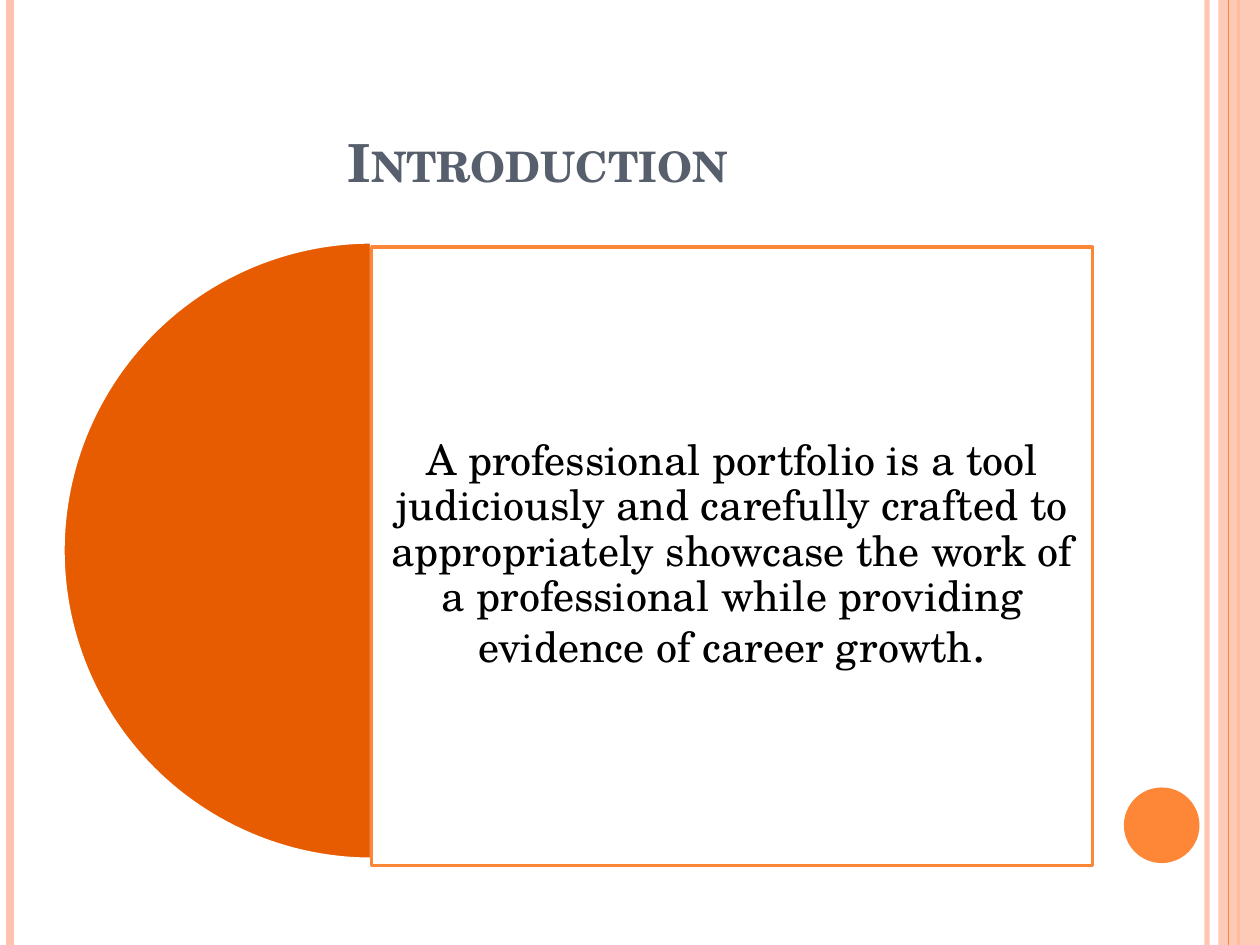
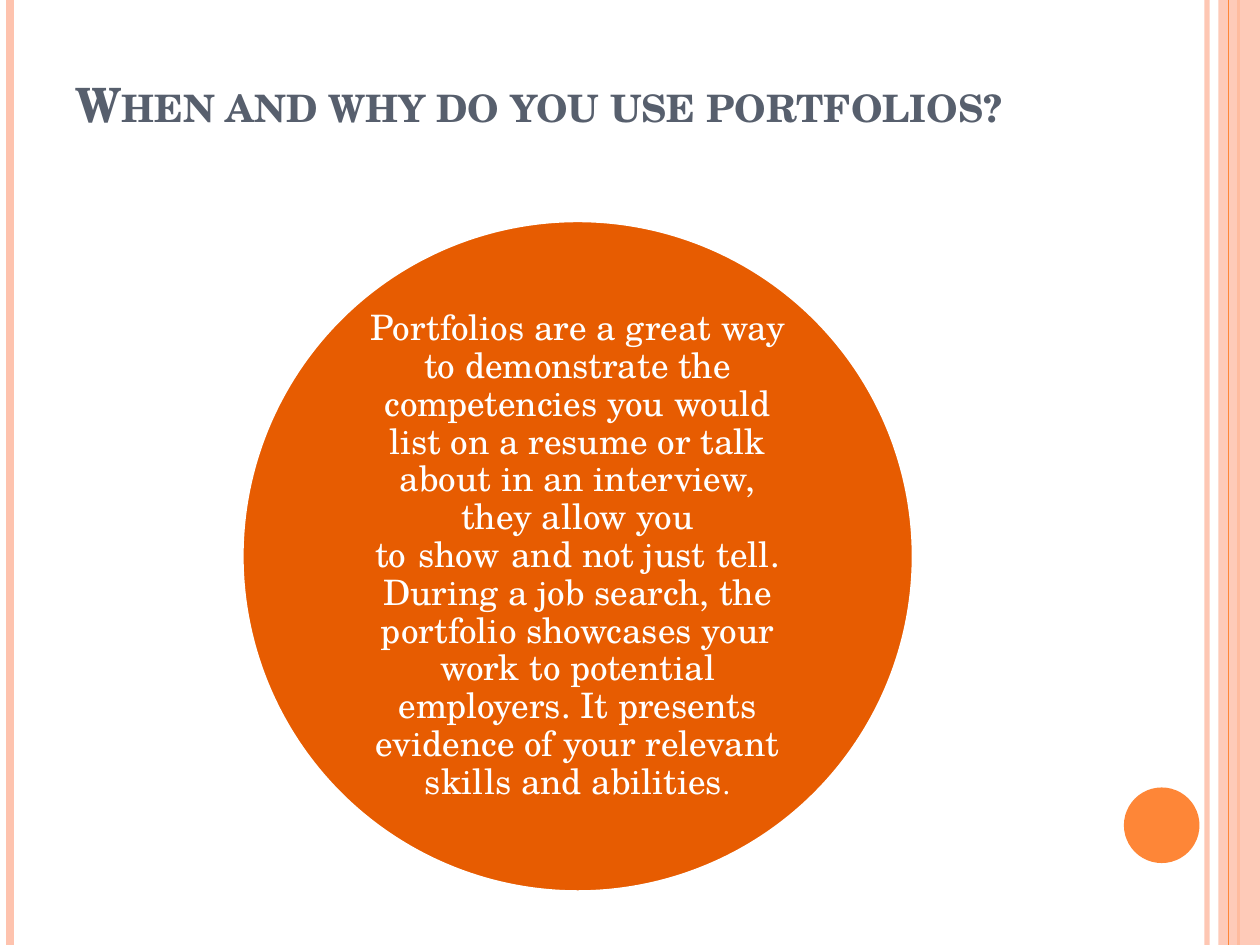
"""Build two slides on professional portfolios with shared side bands."""
from lxml import etree
from pptx import Presentation
from pptx import util as u
from pptx.dml.color import RGBColor
from pptx.enum import shapes, text
from pptx.oxml import ns

FONT = "TeX Gyre Schola"
HARD_SPACE = chr(160)
WIDTH, HEIGHT = 10, 7.5
SLATE = RGBColor(0x57, 0x5F, 0x6D)
EMBER = RGBColor(0xE7, 0x5C, 0x01)
ORANGE = RGBColor(0xFE, 0x86, 0x37)
PEACH = RGBColor(0xFE, 0xC3, 0xAE)
WHITE = RGBColor(0xFF, 0xFF, 0xFF)
BLACK = RGBColor(0, 0, 0)

INTRODUCTION = {
    "title": "Introduction", "size": 30, "at": (2.66, 0.33, 6, 1.25), "gap": 0.05,
    "body": [("A professional portfolio is a tool judiciously and carefully crafted to "
              "appropriately showcase the work of a professional while providing "
              "evidence of career growth", 24), (".", 28)],
}
USES = {
    "title": "When and why do you use portfolios?", "size": 27,
    "at": (0.5, 0.3, 8.17, 1.25), "gap": 0.5,
    "body": [("Portfolios are a great way to demonstrate the competencies you would "
              "list on a resume or talk about in an interview, they allow you "
              f"to{HARD_SPACE}show{HARD_SPACE}and not just{HARD_SPACE}tell. "
              "During a job search, the portfolio "
              "showcases your work to potential employers. It presents evidence of "
              "your relevant skills and abilities", 20), (".", 16)],
}
BACK_RULES = [(9.58, PEACH, 3, 93), (0.08, PEACH, 4.5, 100), (9.83, ORANGE, 1.5, 100)]
FRONT_RULES = [(9.75, ORANGE, 0.75, 100)]
BAND_LEFT = 9.67


def inches(*lengths):
    return [u.Inches(length) for length in lengths]


def fade(item, opacity):
    if opacity < 100:
        color = item.element.spPr.find(".//" + ns.qn("a:srgbClr"))
        etree.SubElement(color, ns.qn("a:alpha")).set("val", str(opacity * 1000))


def write(frame, runs, color, bold=False, small_caps=False, align=text.PP_ALIGN.CENTER,
          anchor=text.MSO_ANCHOR.MIDDLE, spacing=0.9, insets=(0.1, 0.1, 0.1, 0.1)):
    frame.word_wrap = True
    frame.auto_size = text.MSO_AUTO_SIZE.NONE
    frame.vertical_anchor = anchor
    (frame.margin_left, frame.margin_top,
     frame.margin_right, frame.margin_bottom) = inches(*insets)
    paragraph = frame.paragraphs[0]
    paragraph.alignment = align
    paragraph.line_spacing = spacing
    for words, size in runs:
        run = paragraph.add_run()
        run.text = words
        run.font.name, run.font.size, run.font.bold = FONT, u.Pt(size), bold
        run.font.color.rgb = color
        if small_caps:
            run.font._element.set("cap", "small")


def add_figure(slide, preset, at, fill, line=None, opacity=100):
    figure = slide.shapes.add_shape(preset, *inches(*at))
    figure.shadow.inherit = False
    figure.fill.solid()
    figure.fill.fore_color.rgb = fill
    fade(figure, opacity)
    if line is None:
        figure.line.fill.background()
    else:
        figure.line.color.rgb = line
        figure.line.width = u.Pt(2)
    return figure


def add_rules(slide, rules):
    for x, color, weight, opacity in rules:
        rule = slide.shapes.add_connector(shapes.MSO_CONNECTOR.STRAIGHT,
                                          *inches(x, 0, x, HEIGHT))
        rule.line.color.rgb = color
        rule.line.width = u.Pt(weight)
        fade(rule, opacity)
        etree.SubElement(rule.element.spPr, ns.qn("a:effectLst"))


def add_slide(deck, content):
    slide = deck.slides.add_slide(deck.slide_layouts[5])
    add_rules(slide, BACK_RULES)
    add_figure(slide, shapes.MSO_SHAPE.RECTANGLE,
               (BAND_LEFT, 0, WIDTH - BAND_LEFT, HEIGHT), PEACH, opacity=87)
    add_rules(slide, FRONT_RULES)
    add_figure(slide, shapes.MSO_SHAPE.OVAL, (8.92, 6.25, 0.6, 0.6), ORANGE)
    title = slide.shapes.title
    title.left, title.top, title.width, title.height = inches(*content["at"])
    write(title.text_frame, [(content["title"], content["size"])], SLATE, bold=True,
          small_caps=True, align=text.PP_ALIGN.LEFT, anchor=text.MSO_ANCHOR.BOTTOM,
          spacing=1.0, insets=(0.1, 0.05, 0.1, content["gap"]))
    return slide


def main():
    deck = Presentation()
    deck.slide_width, deck.slide_height = inches(WIDTH, HEIGHT)

    slide = add_slide(deck, INTRODUCTION)
    left, top, diameter = 0.5, 1.92, 4.9
    half_disc = add_figure(slide, shapes.MSO_SHAPE.PIE, (left, top, diameter, diameter),
                           EMBER, WHITE)
    half_disc.adjustments[0], half_disc.adjustments[1] = 54, 162
    definition = add_figure(slide, shapes.MSO_SHAPE.RECTANGLE,
                            (left + diameter / 2, 1.96, 5.72, diameter + 0.01),
                            WHITE, ORANGE, opacity=90)
    write(definition.text_frame, INTRODUCTION["body"], BLACK)

    slide = add_slide(deck, USES)
    disc = add_figure(slide, shapes.MSO_SHAPE.OVAL, (1.92, 1.75, 5.33, 5.33), EMBER, WHITE)
    write(disc.text_frame, USES["body"], WHITE, insets=(0.16, 0.16, 0.16, 0.16))

    deck.save("out.pptx")


if __name__ == "__main__":
    main()
